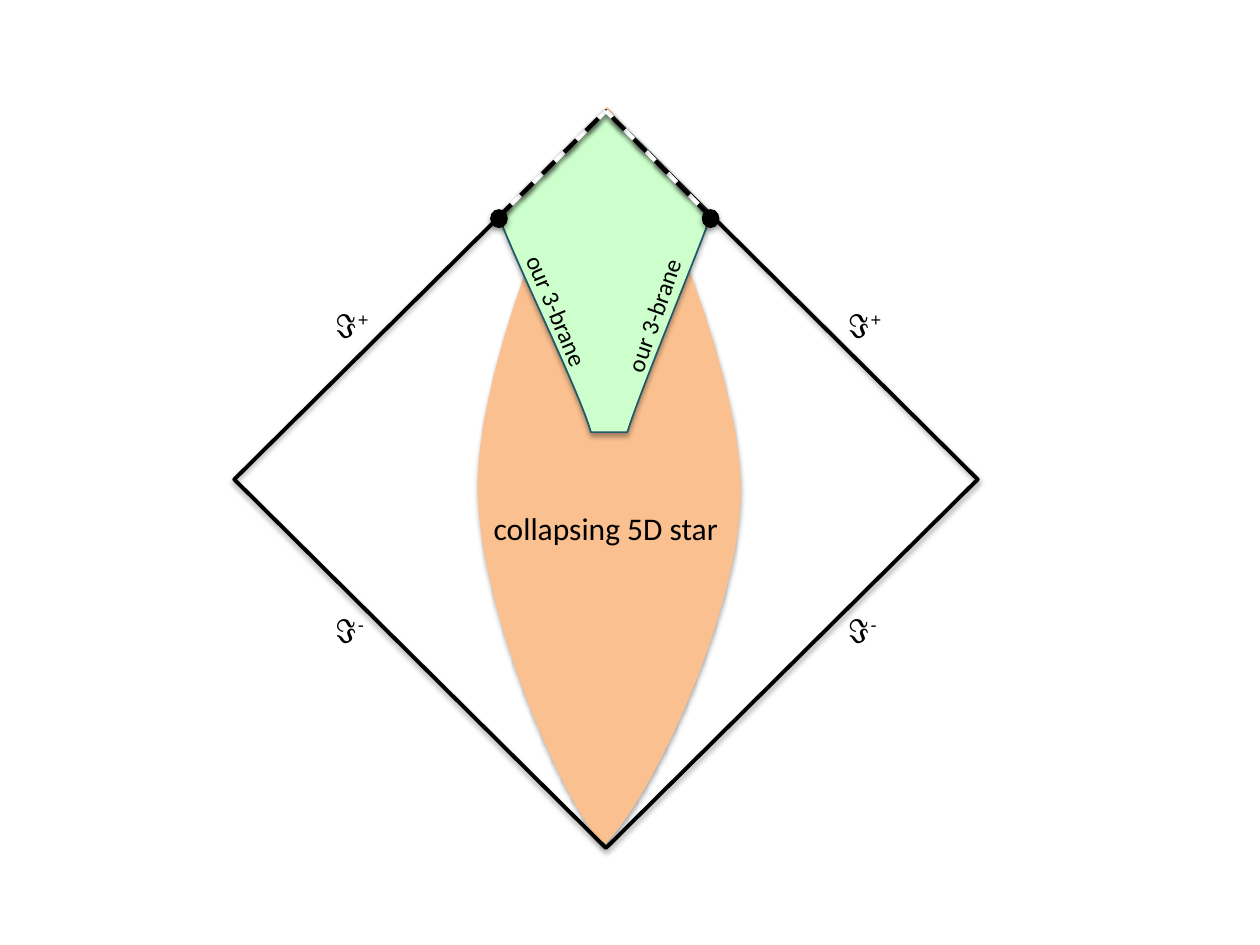
from lxml import etree
from pptx import Presentation
from pptx.dml.color import RGBColor
from pptx.enum.dml import MSO_LINE
from pptx.enum.shapes import MSO_CONNECTOR, MSO_SHAPE
from pptx.enum.text import MSO_AUTO_SIZE
from pptx.oxml.ns import qn
from pptx.util import Inches, Pt

DASH = MSO_LINE.DASH
STRAIGHT = MSO_CONNECTOR.STRAIGHT
DIAMOND, OVAL = MSO_SHAPE.DIAMOND, MSO_SHAPE.OVAL
GROW = MSO_AUTO_SIZE.SHAPE_TO_FIT_TEXT

COLORS = {"star": "FAC090", "brane": "CCFFCC", "edge": "215968",
          "ink": "000000", "paper": "FFFFFF"}
WORD = {"name": "Calibri", "size": Pt(18)}
SMALL = {"name": "Calibri", "size": Pt(14)}
SCRI = {"name": "Arial", "size": Pt(18), "italic": True}

# Outlines relative to their box: one point is a line, three are a curve.
STAR = [[(1, 5.86)],
        [(0.68, 5.53), (0, 3.97), (0, 3)],
        [(0.01, 2.02), (0.72, 0.32), (1.03, 0)],
        [(1.33, 0.32), (2.09, 2.07), (2.09, 3.05)],
        [(2.08, 4.02), (1.36, 5.53), (1, 5.86)]]
BRANE = [[(0, 0.84)],
         [(0.15, 1.24), (0.64, 2.23), (0.73, 2.55)],
         [(1.02, 2.55)],
         [(1.12, 2.23), (1.52, 1.27), (1.68, 0.84)],
         [(1.32, 0.45), (1.23, 0.35), (0.85, 0)],
         [(0.6, 0.22), (0.32, 0.54), (0, 0.84)]]


def rgb(key):
    return RGBColor.from_string(COLORS[key])


def shade(shape, alpha=35, dist=1.8):
    """Give a shape or connector a soft shadow straight below it."""
    props = shape._element.spPr
    for old in props.findall(qn("a:effectLst")):
        props.remove(old)
    effects = etree.SubElement(props, qn("a:effectLst"))
    glow = etree.SubElement(effects, qn("a:outerShdw"), blurRad=str(Pt(3.1)),
                            dist=str(Pt(dist)), dir="5400000", rotWithShape="0")
    tone = etree.SubElement(glow, qn("a:srgbClr"), val=COLORS["ink"])
    etree.SubElement(tone, qn("a:alpha"), val=str(alpha * 1000))


def paint(shape, fill=None, line=None, width=1):
    if fill:
        shape.fill.solid()
        shape.fill.fore_color.rgb = rgb(fill)
    else:
        shape.fill.background()
    if line:
        shape.line.color.rgb = rgb(line)
        shape.line.width = Pt(width)
    else:
        shape.line.fill.background()
    shade(shape)


def add_curve(slide, left, top, steps):
    """Build a closed outline, then bend its three-point steps into curves."""
    ends = [step[-1] for step in steps]
    pen = slide.shapes.build_freeform(*ends[0], scale=Inches(1))
    pen.add_line_segments(ends[1:], close=True)
    shape = pen.convert_to_shape(Inches(left), Inches(top))
    outline = shape._element.find(".//" + qn("a:path"))
    # Whole-inch local units are too coarse, so the outline is drawn in EMU.
    outline.set("w", str(shape.width))
    outline.set("h", str(shape.height))
    for part in list(outline):
        outline.remove(part)
    for index, step in enumerate(steps):
        tag = "moveTo" if index == 0 else "lnTo" if len(step) == 1 else "cubicBezTo"
        part = etree.SubElement(outline, qn("a:" + tag))
        for x, y in step:
            etree.SubElement(part, qn("a:pt"), x=str(Inches(x)), y=str(Inches(y)))
    etree.SubElement(outline, qn("a:close"))
    return shape


def add_label(slide, box, runs, font, turn=0, wrap=False):
    """Add text whose runs after the first are superscript."""
    label = slide.shapes.add_textbox(*map(Inches, box))
    label.rotation = turn
    frame = label.text_frame
    frame.word_wrap = wrap
    frame.auto_size = GROW
    for index, text in enumerate(runs):
        run = frame.paragraphs[0].add_run()
        run.text = text
        for key, value in font.items():
            setattr(run.font, key, value)
        run.font.color.rgb = rgb("ink")
        if index:
            run.font._element.set("baseline", "30000")


def add_edge(slide, start, space):
    """Lay black dashes on a white line up to the top of the diamond."""
    for color, dash in (("paper", None), ("ink", DASH)):
        edge = slide.shapes.add_connector(STRAIGHT, *map(Inches, start + (4.8, 0.88)))
        edge.end_connect(space, 0)
        edge.line.color.rgb = rgb(color)
        edge.line.width = Pt(2.5)
        if dash:
            edge.line.dash_style = dash
        shade(edge, 38, 1.6)


def add_diagram(slide, left, top, width, height):
    paint(add_curve(slide, left + 1.93, top - 0.03, STAR), "star")
    paint(add_curve(slide, left + 2.1, top, BRANE), "brane", "edge")
    box = map(Inches, (left, top, width, height))
    space = slide.shapes.add_shape(DIAMOND, *box)
    paint(space, line="ink", width=2.25)

    corners = [(left + x, top + 0.84) for x in (2.1, 3.78)]
    for corner in corners:
        add_edge(slide, corner, space)

    add_label(slide, (left + 1.96, top + 3.11, 2, 0.4), ["collapsing 5D star"], WORD)
    for y, sign in ((1.49, "+"), (3.91, "-")):
        for x in (0.7, 4.77):
            add_label(slide, (left + x, top + y, 0.5, 0.4), ["ℑ", sign], SCRI)
    for x, y, turn in ((2.76, 1.45, 289.4), (1.99, 1.42, 67.1)):
        add_label(slide, (left + x, top + y, 1.14, 0.34), ["our 3-brane"], SMALL, turn)

    for x, y in corners:
        spot = map(Inches, (x - 0.07, y - 0.06, 0.14, 0.15))
        paint(slide.shapes.add_shape(OVAL, *spot), "ink")


def main():
    deck = Presentation()
    deck.slide_width, deck.slide_height = Inches(10), Inches(7.5)
    slide = deck.slides.add_slide(deck.slide_layouts[6])
    add_diagram(slide, 1.86, 0.88, 5.9, 5.85)
    deck.save("out.pptx")


if __name__ == "__main__":
    main()
